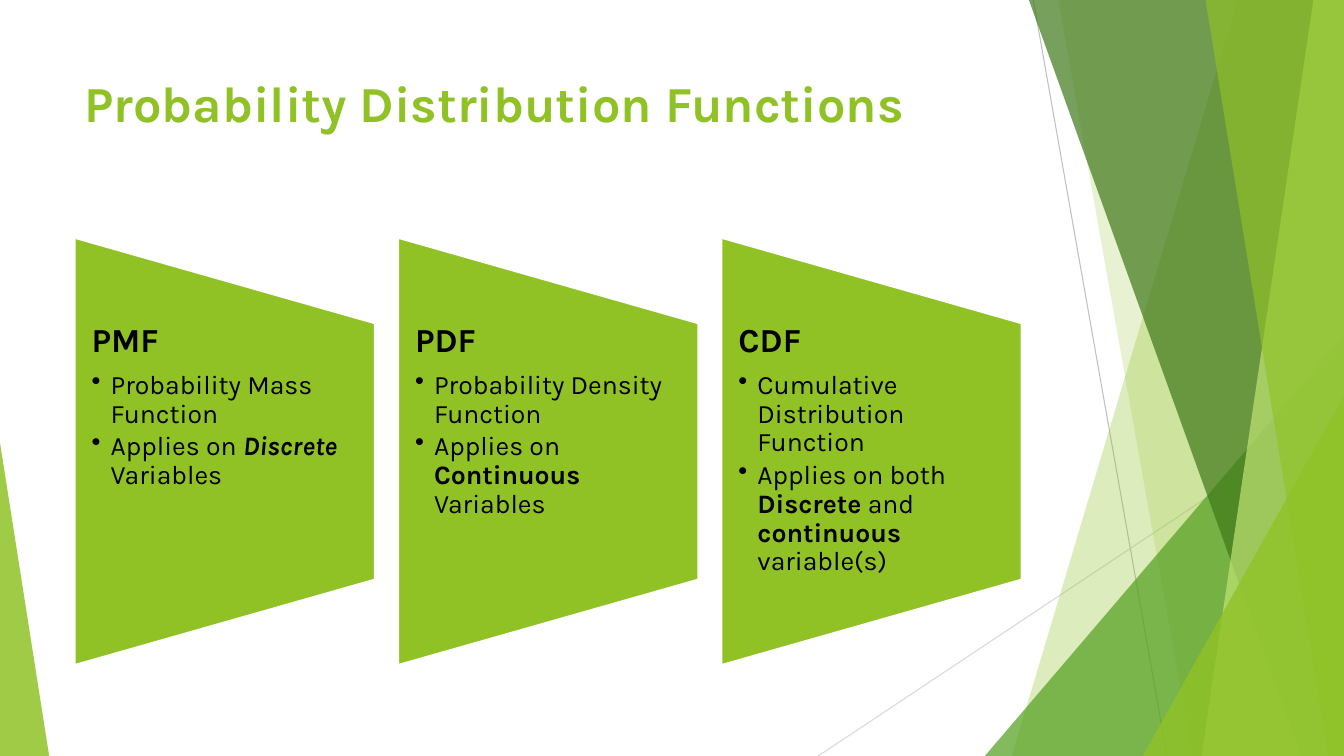
from lxml.etree import SubElement
from pptx import Presentation
from pptx.dml.color import RGBColor
from pptx.enum.shapes import MSO_CONNECTOR, MSO_SHAPE
from pptx.enum.text import MSO_ANCHOR, PP_ALIGN
from pptx.oxml.ns import qn
from pptx.util import Cm, Pt

WIDTH, HEIGHT = 33.87, 19.05
FONT = "Karla"
GREEN = "90C226"
CARD_LEFT, CARD_STEP = 1.88, 8.15
CARD_WIDTH, CARD_HEIGHT = 7.57, 10.77

# Heading, then bullets made of (text, style) runs: b bold, i italic
CARDS = [
    ("PMF", [
        [("Probability Mass Function", "")],
        [("Applies on ", ""), ("Discrete", "bi"), (" Variables", "")],
    ]),
    ("PDF", [
        [("Probability Density Function", "")],
        [("Applies on ", ""), ("Continuous", "b"), (" Variables", "")],
    ]),
    ("CDF", [
        [("Cumulative Distribution Function", "")],
        [("Applies on both ", ""), ("Discrete", "b"), (" and ", ""),
         ("continuous", "b"), (" variable(s)", "")],
    ]),
]


def rgb(color):
    return RGBColor.from_string(color)


def fill_shape(sp, color, opacity=100):
    sp.shadow.inherit = False
    sp.line.fill.background()
    sp.fill.solid()
    sp.fill.fore_color.rgb = rgb(color)
    if opacity < 100:
        clr = sp.fill._xPr.find(".//" + qn("a:srgbClr"))
        SubElement(clr, qn("a:alpha"), val=str(opacity * 1000))


def add_line(s, x1, y1, x2, y2, color):
    line = s.shapes.add_connector(
        MSO_CONNECTOR.STRAIGHT, Cm(x1), Cm(y1), Cm(x2), Cm(y2))
    line.line.color.rgb = rgb(color)
    line.line.width = Pt(0.75)
    SubElement(line._element.spPr, qn("a:effectLst"))


def add_wedge(s, top_x, bottom_x, color, opacity):
    """Full-height band from a slanted left edge to the slide's right edge."""
    builder = s.shapes.build_freeform(Cm(top_x), 0)
    builder.add_line_segments([
        (Cm(WIDTH), 0), (Cm(WIDTH), Cm(HEIGHT)), (Cm(bottom_x), Cm(HEIGHT))])
    fill_shape(builder.convert_to_shape(), color, opacity)


def add_corner(s, left, top, width, apex, color, opacity):
    """Triangle standing on the slide's bottom edge."""
    sp = s.shapes.add_shape(MSO_SHAPE.ISOSCELES_TRIANGLE, Cm(left), Cm(top),
                            Cm(width), Cm(HEIGHT - top))
    sp.adjustments[0] = apex
    fill_shape(sp, color, opacity)


def add_text_box(s, left, top, width, height):
    tf = s.shapes.add_textbox(Cm(left), Cm(top), Cm(width), Cm(height)).text_frame
    tf.word_wrap = True
    tf.vertical_anchor = MSO_ANCHOR.TOP
    return tf


def format_run(r, size, color, bold=False, italic=False):
    r.font.name = FONT
    r.font.size = Pt(size)
    r.font.bold = bold
    r.font.italic = italic
    r.font.color.rgb = rgb(color)


def space_paragraph(p, after):
    p.alignment = PP_ALIGN.LEFT
    p.line_spacing = 0.9
    p.space_after = Pt(after)


def add_bullet(tf, runs):
    p = tf.add_paragraph()
    p.level = 1
    space_paragraph(p, 2.85)
    pPr = p._p.get_or_add_pPr()
    pPr.set("marL", str(Cm(0.48)))
    pPr.set("indent", str(-Cm(0.48)))
    SubElement(pPr, qn("a:buChar"), char="•")
    for text, style in runs:
        r = p.add_run()
        r.text = text
        format_run(r, 19, "000000", "b" in style, "i" in style)


def add_card(s, left, heading, bullets):
    # Trapezoid, turned on its side about its centre
    sp = s.shapes.add_shape(
        MSO_SHAPE.FLOWCHART_MANUAL_OPERATION,
        Cm(left + (CARD_WIDTH - CARD_HEIGHT) / 2), Cm(7.59),
        Cm(CARD_HEIGHT), Cm(CARD_WIDTH))
    sp.rotation = 270
    fill_shape(sp, GREEN)
    sp.line.color.rgb = rgb("FFFFFF")
    sp.line.width = Pt(1.5)

    # Heading and bullets
    tf = add_text_box(s, left, 8.15, CARD_WIDTH, 6.48)
    tf.margin_left = tf.margin_right = Cm(0.43)
    tf.margin_top = tf.margin_bottom = 0
    tf.text = heading
    p = tf.paragraphs[0]
    space_paragraph(p, 8.4)
    format_run(p.runs[0], 24, "000000", bold=True)
    for runs in bullets:
        add_bullet(tf, runs)


def add_backdrop(s):
    add_line(s, 26.04, 0, 29.41, HEIGHT, "BFBFBF")
    add_line(s, WIDTH, 10.24, 20.62, HEIGHT, "D9D9D9")
    add_wedge(s, 31.19, 25.5, GREEN, 30)
    add_wedge(s, 26.67, 30.05, GREEN, 20)
    add_corner(s, 24.82, 8.46, 9.05, 1, "54A021", 72)
    add_wedge(s, 25.93, 32.79, "3F7819", 70)
    add_wedge(s, 33.1, 30.28, "C0E474", 70)
    add_wedge(s, 30.38, 33.48, GREEN, 65)
    add_corner(s, 28.8, 9.98, 5.07, 1, GREEN, 80)
    add_corner(s, 0, 11.15, 1.24, 0, GREEN, 85)


def add_title(s, text):
    tf = add_text_box(s, CARD_LEFT, 1.7, 23.88, 3.66)
    tf.text = text
    format_run(tf.paragraphs[0].runs[0], 36, GREEN, bold=True)


def main():
    prs = Presentation()
    prs.slide_width, prs.slide_height = Cm(WIDTH), Cm(HEIGHT)
    s = prs.slides.add_slide(prs.slide_layouts[6])
    add_backdrop(s)
    add_title(s, "Probability Distribution Functions")
    for i, (heading, bullets) in enumerate(CARDS):
        add_card(s, CARD_LEFT + i * CARD_STEP, heading, bullets)
    prs.save("out.pptx")


if __name__ == "__main__":
    main()
